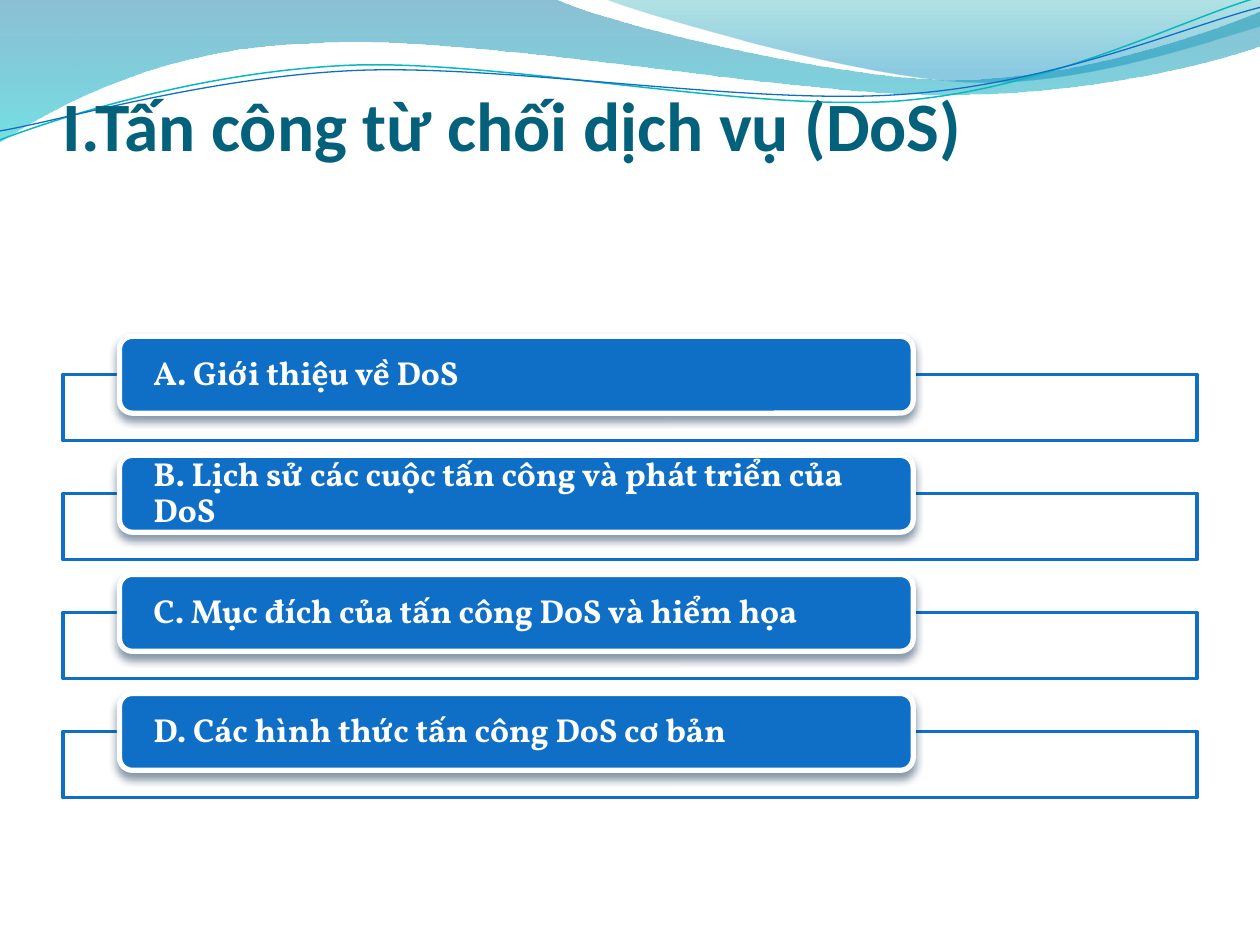
import lxml.etree
import pptx
import pptx.dml.color
import pptx.enum.shapes
import pptx.enum.text
import pptx.oxml
import pptx.oxml.ns
import pptx.util
from dataclasses import dataclass

Cm, Pt = pptx.util.Cm, pptx.util.Pt
qn = pptx.oxml.ns.qn
SHAPE = pptx.enum.shapes.MSO_SHAPE
ANCHOR = pptx.enum.text.MSO_ANCHOR
ALIGN = pptx.enum.text.PP_ALIGN


@dataclass(frozen=True)
class Theme:
    blue: str = "0F6FC6"
    teal: str = "0AB8BF"
    title: str = "04617B"
    white: str = "FFFFFF"
    shadow: str = "042747"
    title_font: str = "Calibri"
    body_font: str = "Vollkorn"
    title_size: float = 39.6
    body_size: float = 19


THEME = Theme()
TITLE = "I.Tấn công từ chối dịch vụ (DoS)"
TOPICS = [
    "A. Giới thiệu về DoS",
    "B. Lịch sử các cuộc tấn công và phát triển của DoS",
    "C. Mục đích của tấn công DoS và hiểm họa",
    "D. Các hình thức tấn công DoS cơ bản",
]

# Outlines in cm: a point is a corner, three points are one cubic curve.
# Gradient stops: position %, colour, opacity %.
WAVES = [
    ([(0, 0), (11.18, -0.03),
      ((12.09, 0.43), (16.87, 1.6), (19.25, 1.6)),
      ((21.67, 1.6), (24.33, 0.66), (25.4, 0.23)),
      (25.43, 0.91),
      ((24.97, 1.12), (22.1, 1.93), (18.95, 1.91)),
      ((15.8, 1.91), (9.7, 0.71), (6.53, 0.86)),
      ((3.28, 0.91), (1.17, 2.11), (-0.03, 2.87)),
      (0, 0)],
     [(0, "0074A1", 45), (100, "00C6CF", 55)]),
    ([(12.17, -0.03),
      ((12.93, 0.28), (17.32, 1.57), (19.53, 1.65)),
      ((21.74, 1.75), (24.41, 0.81), (25.4, 0.53)),
      (25.4, 0), (12.17, -0.03)],
     [(0, "00A1A9", 30), (80, "008BBF", 45)]),
]
# Strands are level here and turned by STRAND_TILT degrees on the slide.
STRAND_TILT = -2.7
STRANDS = [
    ([(-0.05, 2.22),
      ((1.19, 1.82), (4.02, 1.04), (7.06, 1.05)),
      ((10.05, 1.07), (15.02, 2.37), (18.08, 2.29)),
      ((21.13, 2.2), (23.87, 0.91), (25.41, 0.55))],
     THEME.teal, 0.85),
    ([(-0.04, 2.04),
      ((1.16, 1.9), (4.18, 1.15), (7.2, 1.16)),
      ((10.25, 1.18), (15.13, 2.25), (18.19, 2.16)),
      ((21.21, 2.1), (23.93, 1.06), (25.45, 0.75))],
     THEME.blue, 0.75),
]

MARGIN, CONTENT_W = 1.27, 22.86
FRAME_TOP, FRAME_H, ROW_PITCH = 7.55, 1.33, 2.4
PILL_LEFT, PILL_W, PILL_H, PILL_RISE = 2.41, 16, 1.55, 0.77


def rgb(value):
    return pptx.dml.color.RGBColor.from_string(value)


def xml(tag, body):
    ns = pptx.oxml.ns.nsdecls("a")
    return pptx.oxml.parse_xml(f"<a:{tag} {ns}>{body}</a:{tag}>")


def color_xml(color, opacity):
    return f'<a:srgbClr val="{color}"><a:alpha val="{opacity * 1000}"/></a:srgbClr>'


def add_outline(slide, outline, close):
    """Build the outline through all its points, then join each curve's three into one."""
    steps = [part if isinstance(part[0], tuple) else (part,) for part in outline]
    points = [(Cm(x), Cm(y)) for step in steps for x, y in step]
    builder = slide.shapes.build_freeform(*points[0], scale=1.0)
    builder.add_line_segments(points[1:], close=close)
    sp = builder.convert_to_shape()
    segments = iter(list(sp._element.iter(qn("a:lnTo"))))
    for step in steps[1:]:
        first, *rest = [next(segments) for _ in step]
        if rest:
            curve = xml("cubicBezTo", "")
            first.addprevious(curve)
            for segment in (first, *rest):
                curve.append(segment[0])
                segment.getparent().remove(segment)
    sp.shadow.inherit = False
    sp.fill.background()
    return sp


def add_wave(slide, outline, stops):
    sp = add_outline(slide, outline, close=True)
    sp.line.fill.background()
    stops_xml = "".join(f'<a:gs pos="{pos * 1000}">{color_xml(color, opacity)}</a:gs>'
                        for pos, color, opacity in stops)
    gradient = xml("gradFill", f"<a:gsLst>{stops_xml}</a:gsLst>"
                               '<a:lin ang="5400000" scaled="0"/>')
    props = sp._element.spPr
    props.replace(props.find(qn("a:noFill")), gradient)


def add_strand(slide, outline, color, width):
    sp = add_outline(slide, outline, close=False)
    sp.rotation = STRAND_TILT
    set_line(sp, color, width)


def set_line(sp, color, width):
    sp.line.color.rgb = rgb(color)
    sp.line.width = Pt(width)


def add_box(slide, kind, left, top, width, height, line, line_width, fill):
    sp = slide.shapes.add_shape(kind, Cm(left), Cm(top), Cm(width), Cm(height))
    sp.shadow.inherit = False
    sp.fill.solid()
    sp.fill.fore_color.rgb = rgb(fill)
    set_line(sp, line, line_width)
    return sp


def set_text(sp, text, font, size, color, anchor, insets):
    """Write one bold, unkerned run; insets are left, top, right, bottom in cm."""
    tf = sp.text_frame
    tf.word_wrap = True
    tf.vertical_anchor = anchor
    tf.margin_left, tf.margin_top, tf.margin_right, tf.margin_bottom = map(Cm, insets)
    p = tf.paragraphs[0]
    p.alignment = ALIGN.LEFT
    r = p.add_run()
    r.text = text
    r.font.name, r.font.size, r.font.bold = font, Pt(size), True
    r.font.color.rgb = rgb(color)
    r.font._element.set("kern", "0")
    return p


def add_topic(slide, text, frame_top):
    frame = add_box(slide, SHAPE.RECTANGLE, MARGIN, frame_top, CONTENT_W, FRAME_H,
                    THEME.blue, 2, THEME.white)
    fill_color = frame._element.spPr.find(".//" + qn("a:srgbClr"))
    lxml.etree.SubElement(fill_color, qn("a:alpha"), val="90000")

    pill = add_box(slide, SHAPE.ROUNDED_RECTANGLE, PILL_LEFT, frame_top - PILL_RISE,
                   PILL_W, PILL_H, THEME.white, 3, THEME.blue)
    props = pill._element.spPr
    shadow = (f'<a:outerShdw blurRad="{Pt(4.5)}" dist="{Pt(3)}" dir="5400000" '
              f'rotWithShape="0">{color_xml(THEME.shadow, 48)}</a:outerShdw>')
    props.replace(props.find(qn("a:effectLst")), xml("effectLst", shadow))
    p = set_text(pill, text, THEME.body_font, THEME.body_size, THEME.white,
                 ANCHOR.MIDDLE, (0.61, 0, 0.61, 0))
    p.line_spacing = 0.9


def main():
    prs = pptx.Presentation()
    prs.slide_width, prs.slide_height = Cm(25.4), Cm(19.05)
    slide = prs.slides.add_slide(prs.slide_layouts[6])

    for outline, stops in WAVES:
        add_wave(slide, outline, stops)
    for outline, color, width in STRANDS:
        add_strand(slide, outline, color, width)

    title = slide.shapes.add_textbox(Cm(MARGIN), Cm(1.96), Cm(CONTENT_W), Cm(3.17))
    set_text(title, TITLE, THEME.title_font, THEME.title_size, THEME.title,
             ANCHOR.BOTTOM, (0, 0, 0, 1.93))

    for row, text in enumerate(TOPICS):
        add_topic(slide, text, FRAME_TOP + row * ROW_PITCH)

    prs.save("out.pptx")


if __name__ == "__main__":
    main()
